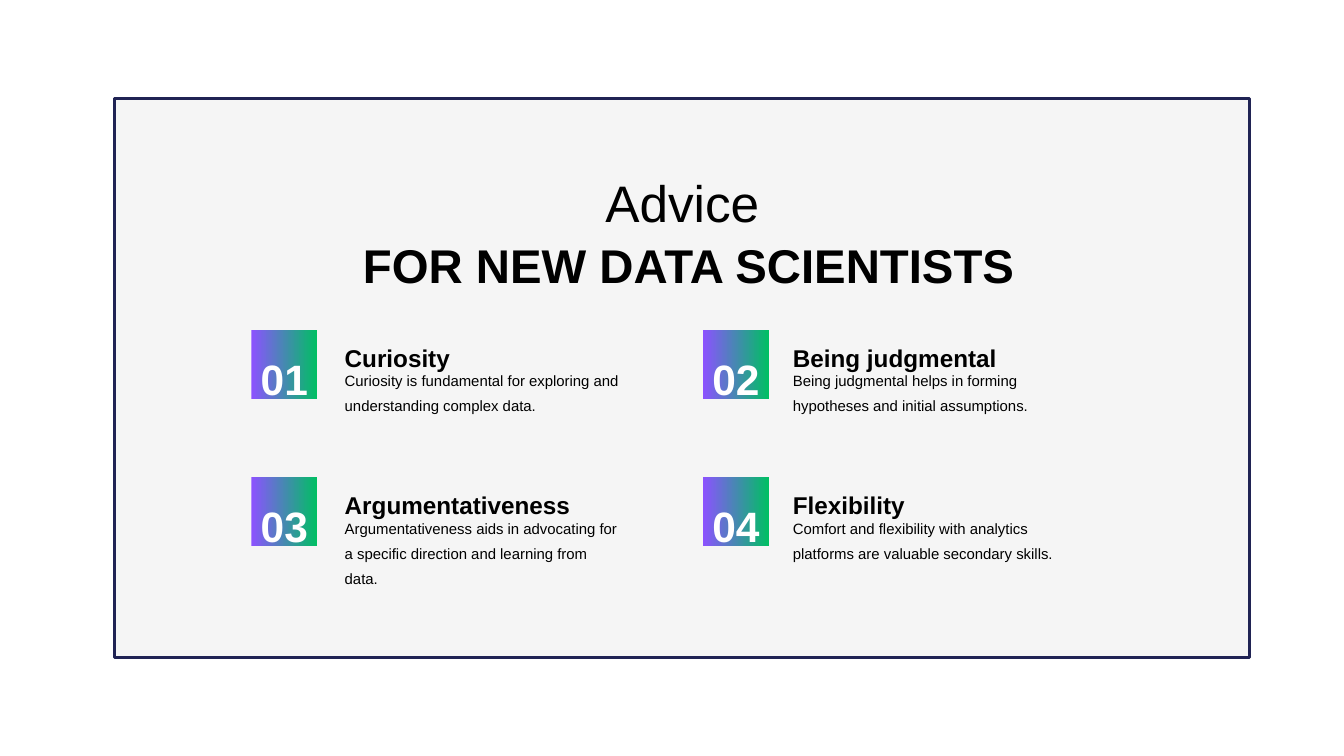
from pptx import Presentation
from pptx.dml.color import RGBColor
from pptx.enum.shapes import MSO_SHAPE as Shape
from pptx.enum.text import MSO_ANCHOR as Anchor, MSO_AUTO_SIZE as AutoSize, PP_ALIGN as Align
from pptx.util import Cm, Pt

FONT = "Arial"
BLACK, WHITE = "000000", "FFFFFF"
PANEL, NAVY = "F5F5F5", "202354"
PURPLE, GREEN = "8C52FF", "00BF63"

# Each column: left edge of the number tile, gap from there to the text
COLUMNS = [(9.5, 3.53), (26.57, 3.4)]
ROWS = [12.46, 18.03]
CARDS = [
    ("Curiosity", "Curiosity is fundamental for exploring and understanding complex data."),
    ("Being judgmental", "Being judgmental helps in forming hypotheses and initial assumptions."),
    ("Argumentativeness", "Argumentativeness aids in advocating for a specific direction and learning from data."),
    ("Flexibility", "Comfort and flexibility with analytics platforms are valuable secondary skills."),
]


def color(value):
    return RGBColor.from_string(value)


def prepare_frame(frame, top_inset=0):
    frame.word_wrap = True
    frame.auto_size = AutoSize.NONE
    frame.vertical_anchor = Anchor.TOP
    frame.margin_left = frame.margin_right = frame.margin_bottom = 0
    frame.margin_top = Cm(top_inset)


def write(para, text, size, spacing, fill=BLACK, bold=False, align=Align.LEFT):
    para.alignment = align
    para.line_spacing = spacing
    para.space_before = para.space_after = Pt(0)
    span = para.add_run()
    span.text = text
    span.font.name = FONT
    span.font.size = Pt(size)
    span.font.bold = bold
    span.font.color.rgb = color(fill)


def add_text(page, left, top, width, height, text, size, bold=False):
    box = page.shapes.add_textbox(Cm(left), Cm(top), Cm(width), Cm(height))
    prepare_frame(box.text_frame)
    write(box.text_frame.paragraphs[0], text, size, 1.4, bold=bold)


def add_rectangle(page, left, top, width, height):
    box = page.shapes.add_shape(Shape.RECTANGLE, Cm(left), Cm(top), Cm(width), Cm(height))
    box.shadow.inherit = False
    return box


def add_panel(page, left, top, width, height):
    panel = add_rectangle(page, left, top, width, height)
    panel.fill.solid()
    panel.fill.fore_color.rgb = color(PANEL)
    panel.line.color.rgb = color(NAVY)
    panel.line.width = Pt(3)
    # Keep the panel behind the title placeholder
    page.shapes._spTree.insert(2, panel._element)


def add_title(page, left, top, width, height):
    title = page.shapes.title
    title.left, title.top, title.width, title.height = map(Cm, (left, top, width, height))
    frame = title.text_frame
    prepare_frame(frame)
    write(frame.paragraphs[0], "Advice", 55, 1.1, align=Align.CENTER)
    write(frame.add_paragraph(), " FOR NEW DATA SCIENTISTS", 50.7, 1.05,
          bold=True, align=Align.CENTER)


def add_card(page, left, top, text_gap, number, heading, body):
    # Number tile
    tile = add_rectangle(page, left, top, 2.49, 2.62)
    tile.fill.gradient()
    tile.fill.gradient_angle = 0
    for stop, value in zip(tile.fill.gradient_stops, (PURPLE, GREEN)):
        stop.color.rgb = color(value)
    tile.line.fill.background()
    prepare_frame(tile.text_frame, top_inset=0.12)
    write(tile.text_frame.paragraphs[0], f"{number:02d}", 45.5, 1.4, WHITE, True, Align.CENTER)

    # Heading and description
    text_left = left + text_gap
    add_text(page, text_left, top + 0.07, 11.3, 1.22, heading, 26, bold=True)
    add_text(page, text_left, top + 1.33, 10.4, 1.65, body, 16)


def main():
    deck = Presentation()
    deck.slide_width, deck.slide_height = Cm(50.8), Cm(28.58)
    page = deck.slides.add_slide(deck.slide_layouts[5])
    page.background.fill.solid()
    page.background.fill.fore_color.rgb = color(WHITE)

    add_panel(page, 4.34, 3.71, 42.88, 21.16)
    add_title(page, 10.26, 6.25, 31.06, 4.27)
    for index, (heading, body) in enumerate(CARDS):
        row, column = divmod(index, len(COLUMNS))
        left, text_gap = COLUMNS[column]
        add_card(page, left, ROWS[row], text_gap, index + 1, heading, body)

    deck.save("out.pptx")


if __name__ == "__main__":
    main()
